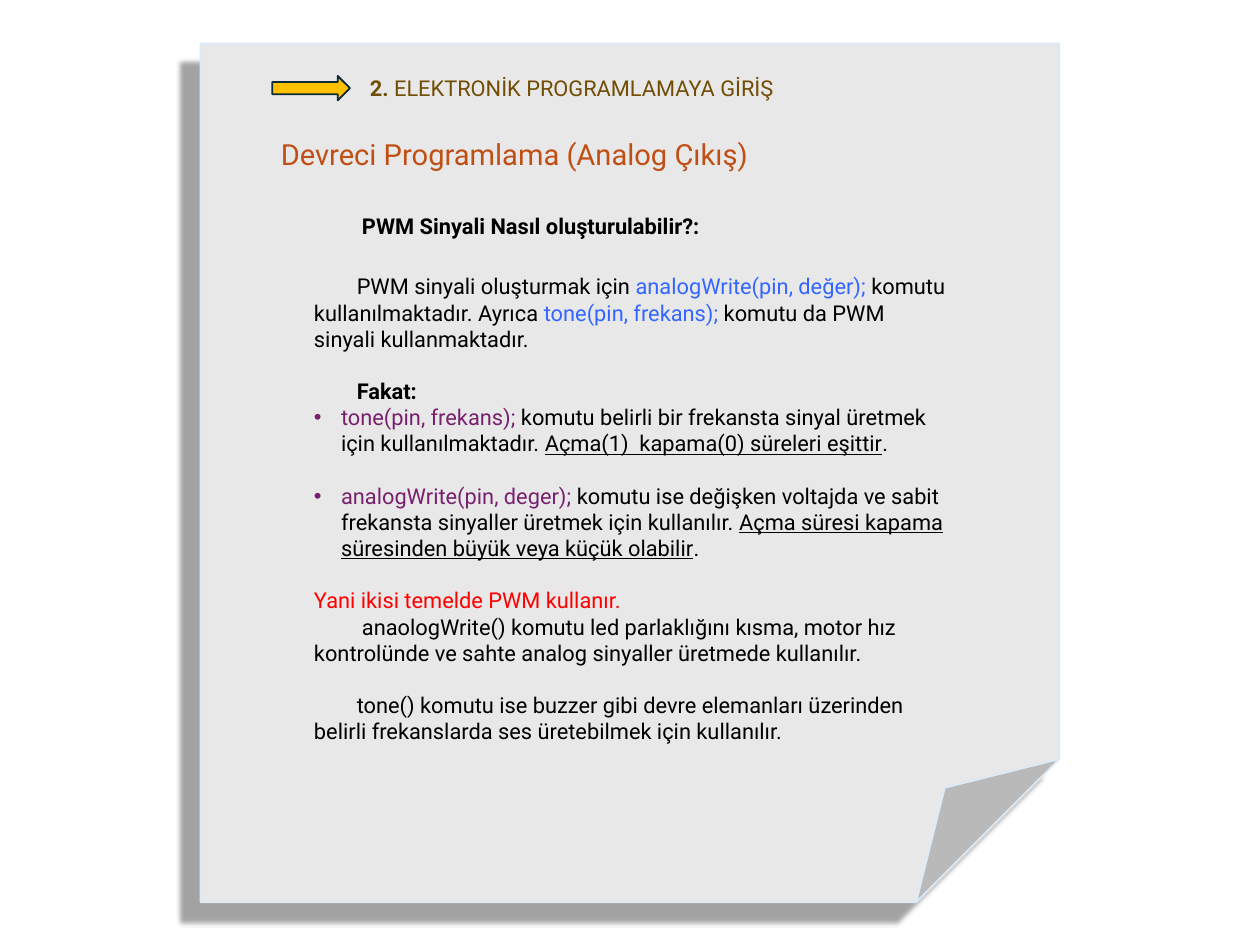
from lxml import etree
from pptx import Presentation
from pptx import util as u
from pptx.dml.color import RGBColor
from pptx.enum import shapes, text
from pptx.oxml import parse_xml
from pptx.oxml.ns import nsdecls, qn

SCALE = 9144  # EMU per px, 100 px to the inch
COLORS = {
    "paper": "E8E8E8", "paper_edge": "DCEAF7", "shadow": "171717",
    "arrow": "FFC000", "arrow_edge": "092A39",
    "chapter": "724D04", "title": "C04F15", "black": "000000",
    "code": "3366FF", "command": "78206E", "warning": "FF0000",
}
LINE_GAP = 21.6  # one empty line of body text, in points
TAB = 49
BULLET_INDENT = 31


def styled(content, color="black", bold=False, underline=False, size=18):
    """One run of text with its format."""
    return {"content": content, "color": color, "bold": bold,
            "underline": underline, "size": size}


def para(*runs, first=0, bullet=False, before=0, after=0, spacing=None):
    """One paragraph: its runs and its layout."""
    return {"runs": runs, "first": first, "bullet": bullet,
            "before": before, "after": after, "spacing": spacing}


class SlideBuilder:
    font = "Roboto"

    def __init__(self, slide):
        self.slide = slide

    @staticmethod
    def color(name):
        return RGBColor.from_string(COLORS[name])

    def shape(self, kind, box, fill, line):
        shape = self.slide.shapes.add_shape(kind, *(n * SCALE for n in box))
        shape.shadow.inherit = False
        shape.fill.solid()
        shape.fill.fore_color.rgb = self.color(fill)
        shape.line.color.rgb = self.color(line)
        shape.line.width = u.Pt(1.5)
        return shape

    def drop_shadow(self, shape, color, blur, distance, angle, opacity):
        effects = shape._element.spPr.find(qn("a:effectLst"))
        effects.append(parse_xml(
            f'<a:outerShdw {nsdecls("a")} blurRad="{u.Pt(blur)}" dist="{u.Pt(distance)}" '
            f'dir="{angle * 60000}" algn="tr" rotWithShape="0">'
            f'<a:srgbClr val="{COLORS[color]}"><a:alpha val="{opacity * 1000}"/></a:srgbClr>'
            '</a:outerShdw>'))

    def text_box(self, box, *paragraphs):
        frame = self.slide.shapes.add_textbox(*(n * SCALE for n in box)).text_frame
        frame.word_wrap = True
        frame.auto_size = text.MSO_AUTO_SIZE.SHAPE_TO_FIT_TEXT
        for index, layout in enumerate(paragraphs):
            paragraph = frame.add_paragraph() if index else frame.paragraphs[0]
            self.fill_paragraph(paragraph, layout)

    def fill_paragraph(self, paragraph, layout):
        if layout["before"]:
            paragraph.space_before = u.Pt(layout["before"])
        if layout["after"]:
            paragraph.space_after = u.Pt(layout["after"])
        if layout["spacing"]:
            paragraph.line_spacing = layout["spacing"]
        properties = paragraph._p.get_or_add_pPr()
        if layout["bullet"]:
            properties.set("marL", str(BULLET_INDENT * SCALE))
            properties.set("indent", str(-BULLET_INDENT * SCALE))
            etree.SubElement(properties, qn("a:buFont")).set("typeface", "Arial")
            etree.SubElement(properties, qn("a:buChar")).set("char", "•")
        elif layout["first"]:
            properties.set("marL", "0")
            properties.set("indent", str(layout["first"] * SCALE))
        for style in layout["runs"]:
            run = paragraph.add_run()
            run.text = style["content"]
            run.font.name = self.font
            run.font.size = u.Pt(style["size"])
            run.font.bold = style["bold"]
            run.font.underline = style["underline"]
            run.font.color.rgb = self.color(style["color"])


def main():
    presentation = Presentation()
    presentation.slide_width = 1444 * SCALE
    presentation.slide_height = 1083 * SCALE
    builder = SlideBuilder(presentation.slides.add_slide(presentation.slide_layouts[6]))

    # Sheet of paper with a folded corner
    paper = builder.shape(shapes.MSO_SHAPE.FOLDED_CORNER, (230, 50, 984, 984),
                          "paper", "paper_edge")
    builder.drop_shadow(paper, "shadow", blur=4, distance=23, angle=135, opacity=40)

    # Chapter line and title
    builder.shape(shapes.MSO_SHAPE.RIGHT_ARROW, (312, 87, 89, 28), "arrow", "arrow_edge")
    builder.text_box((414, 81, 598, 40), para(
        styled("2. ", "chapter", bold=True),
        styled("ELEKTRONİK PROGRAMLAMAYA GİRİŞ", "chapter")))
    builder.text_box((312, 152, 760, 50), para(
        styled("Devreci Programlama (Analog Çıkış)", "title", size=24)))

    # Question
    builder.text_box((356, 234, 745, 43), para(
        styled("PWM Sinyali Nasıl oluşturulabilir?:", bold=True),
        first=TAB, spacing=1.15, after=8))

    # Explanation
    builder.text_box(
        (350, 308, 745, 555),
        para(styled("PWM sinyali oluşturmak için "),
             styled("analogWrite(pin, değer); ", "code"),
             styled("komutu kullanılmaktadır. Ayrıca "),
             styled("tone(pin, frekans); ", "code"),
             styled("komutu da PWM sinyali kullanmaktadır."), first=TAB),
        para(styled("Fakat:", bold=True), first=TAB, before=LINE_GAP),
        para(styled("tone(pin, frekans); ", "command"),
             styled("komutu belirli bir frekansta sinyal üretmek için kullanılmaktadır. "),
             styled("Açma(1)  kapama(0) süreleri eşittir", underline=True),
             styled("."), bullet=True),
        para(styled("analogWrite(pin, deger); ", "command"),
             styled("komutu ise değişken voltajda ve sabit frekansta sinyaller "
                    "üretmek için kullanılır. "),
             styled("Açma süresi kapama süresinden büyük veya küçük olabilir",
                    underline=True),
             styled("."), bullet=True, before=LINE_GAP),
        para(styled("Yani ikisi temelde PWM kullanır.", "warning"), before=LINE_GAP),
        para(styled("anaologWrite() komutu led parlaklığını kısma, motor hız kontrolünde "
                    "ve sahte analog sinyaller üretmede kullanılır."), first=TAB + 6),
        para(styled("tone() komutu ise buzzer gibi devre elemanları üzerinden belirli "
                    "frekanslarda ses üretebilmek için kullanılır."),
             first=TAB, before=LINE_GAP))

    presentation.save("out.pptx")


if __name__ == "__main__":
    main()
